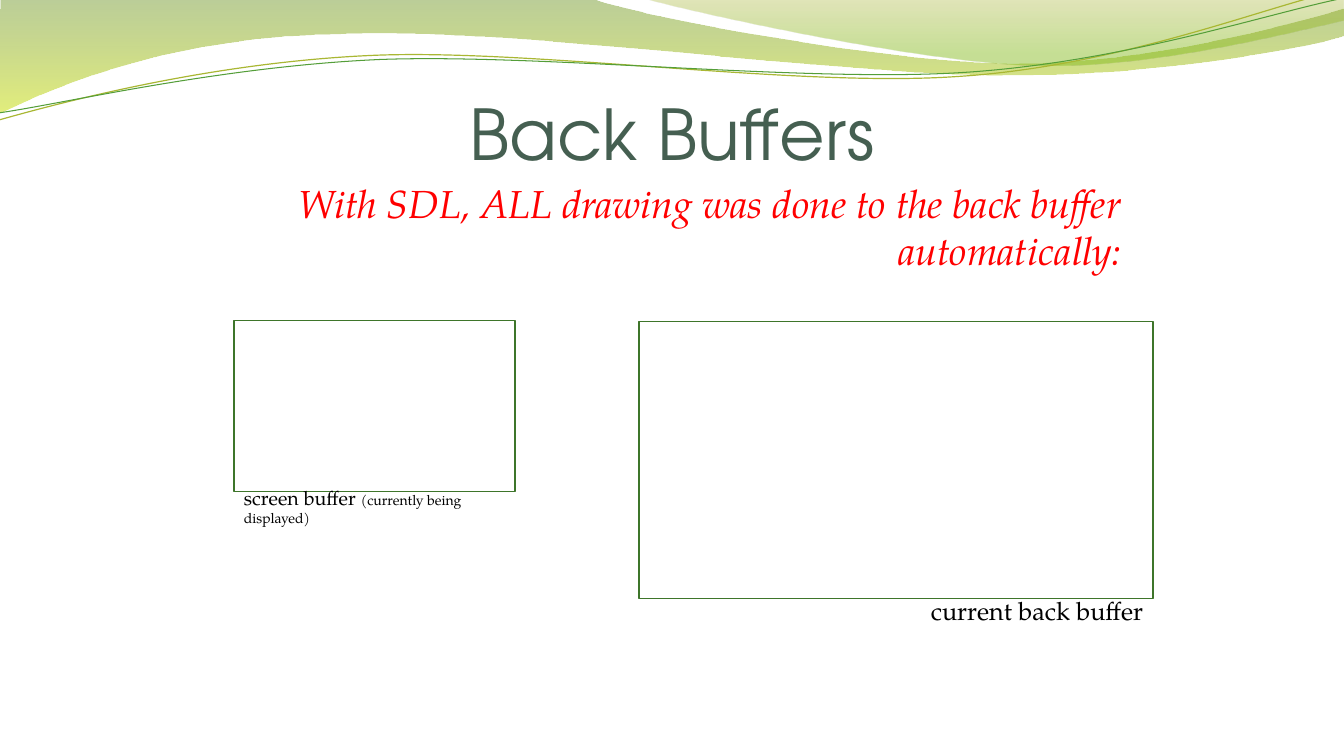
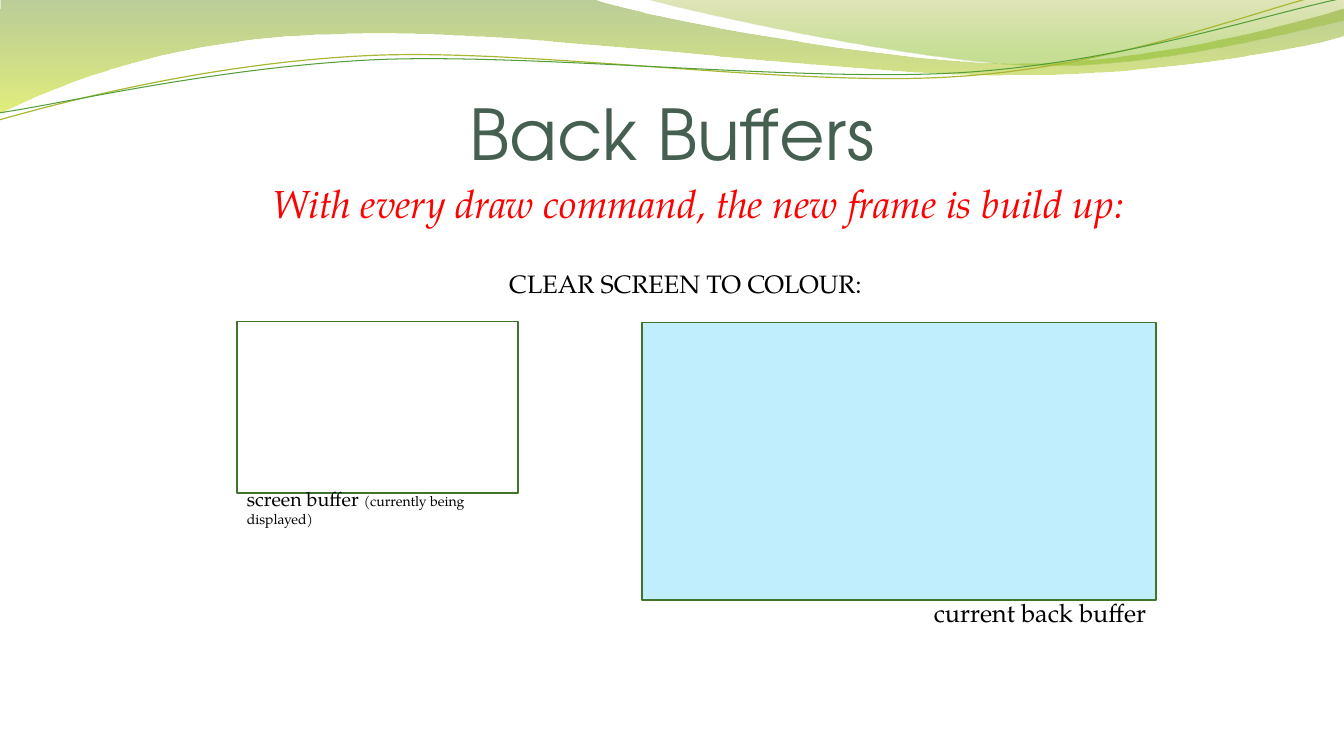
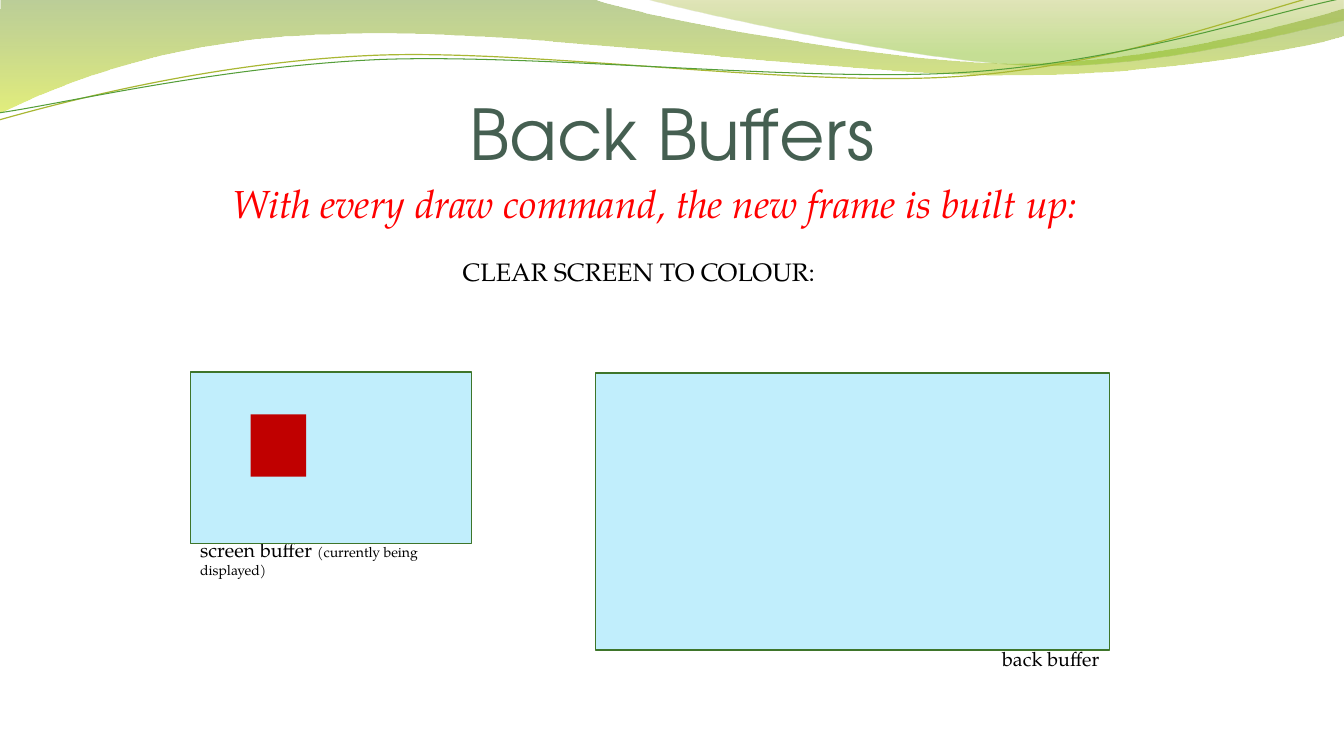
from dataclasses import dataclass, field

from lxml import etree
from pptx import Presentation
from pptx.dml.color import RGBColor
from pptx.enum import shapes as es, text as et
from pptx.oxml import ns
from pptx.util import Pt


@dataclass(frozen=True)
class Theme:
    title: str = "455F51"
    lead: str = "FF0000"
    ink: str = "000000"
    edge: str = "3E752A"
    blank: str = "FFFFFF"
    sky: str = "C1EEFC"
    block: str = "C00000"
    head_font: str = "TeX Gyre Adventor"
    body_font: str = "TeX Gyre Pagella"
    head_size: float = 50
    lead_size: float = 28
    note_size: float = 18
    label_size: float = 14
    small_size: float = 10


@dataclass(frozen=True)
class Box:
    x: float
    y: float
    w: float
    h: float

    def lengths(self) -> list:
        return [Pt(v) for v in (self.x, self.y, self.w, self.h)]


@dataclass(frozen=True)
class Run:
    text: str
    size: float
    color: str = Theme.ink
    font: str = Theme.body_font
    slant: bool = False


@dataclass(frozen=True)
class Stop:
    place: float
    color: str
    alpha: int


@dataclass(frozen=True)
class Wave:
    start: tuple
    legs: list
    stops: list = field(default_factory=list)
    color: str = ""
    width: float = 0


@dataclass(frozen=True)
class Scene:
    left: float
    top: float
    lead: str
    back: Run
    screen_fill: str = Theme.blank
    back_fill: str = Theme.sky
    lead_height: float = 41
    clear_top: float = 0
    labels_first: bool = False
    block: bool = False


T = Theme()
WIDE, HIGH = 960, 540
TEXT_WIDTH = 640.8
LEAD_TOP = 124.6
SCREEN_WIDTH, SCREEN_HEIGHT = 200.9, 122.4
BACK_WIDTH, BACK_HEIGHT = 367.2, 198
BACK_SHIFT = 289.4
UNIT = 100

WAVES = [
    Wave((0, 0), [
        [(422.6, -0.7)],
        [(456.5, 12.2), (636.5, 45.4), (727.9, 45.4)],
        [(818.6, 45.4), (919.4, 18.7), (959.8, 6.5)],
        [(960.5, 25.9)],
        [(943.9, 31.7), (834.5, 54.7), (715.7, 54)],
        [(596.9, 54), (366.5, 20.2), (247, 24.5)],
        [(123.8, 25.9), (43.9, 59.8), (-1.4, 81.4)],
        [(0, 0)],
    ], stops=[Stop(0, "69921C", 45), Stop(1, "CCE10F", 55)]),
    Wave((459.4, -0.7), [
        [(488.9, 7.9), (654.5, 44.6), (738, 46.8)],
        [(820.8, 49.7), (923, 23), (959.8, 15.1)],
        [(959.8, 0)],
        [(459.4, -0.7)],
    ], stops=[Stop(0, "9BAA1A", 30), Stop(0.8, "81BA16", 45)]),
    Wave((-0.7, 85.7), [
        [(45.4, 72.7), (151.2, 44.6), (265.7, 39.6)],
        [(379.4, 34.6), (568.1, 62.6), (683.3, 54.7)],
        [(799.2, 47.5), (900.7, 5.8), (957.6, -7.2)],
    ], color="A9B733", width=0.85),
    Wave((-0.7, 80.6), [
        [(44.6, 74.2), (157, 47.5), (271.4, 42.5)],
        [(386.6, 38.2), (573.1, 59), (687.6, 51.8)],
        [(802.1, 44.6), (903.6, 10.1), (959.8, -1.4)],
    ], color="549E39", width=0.75),
]

SCENES = [
    Scene(167.1, 228.9, "With SDL, ALL drawing was done to the back buffer automatically:",
          Run("current back buffer", T.note_size), back_fill=T.blank, lead_height=74.9),
    Scene(169.2, 229.8, "With every draw command, the new frame is build up:",
          Run("current back buffer", T.note_size), clear_top=187.9),
    Scene(135.9, 265.7, "With every draw command, the new frame is built up:",
          Run("back buffer", T.label_size), screen_fill=T.sky, clear_top=179.3,
          labels_first=True, block=True),
]


def rgb(color: str) -> RGBColor:
    return RGBColor.from_string(color)


def bend(shape, wave: Wave) -> None:
    ends = [wave.start, *(leg[-1] for leg in wave.legs)]
    low = [min(end[axis] for end in ends) for axis in (0, 1)]
    lines = shape.element.xpath(".//a:path/a:lnTo")
    for line, leg in zip(lines, wave.legs):
        if len(leg) == 1:
            continue
        curve = etree.Element(ns.qn("a:cubicBezTo"))
        for x, y in leg:
            etree.SubElement(curve, ns.qn("a:pt"),
                             x=str(round((x - low[0]) * UNIT)),
                             y=str(round((y - low[1]) * UNIT)))
        line.getparent().replace(line, curve)


def draw_wave(slide, wave: Wave):
    ends = [wave.start, *(leg[-1] for leg in wave.legs)]
    first, *rest = [(x * UNIT, y * UNIT) for x, y in ends]
    pen = slide.shapes.build_freeform(*first, scale=Pt(1) / UNIT)
    pen.add_line_segments(rest, close=bool(wave.stops))
    shape = pen.convert_to_shape()
    bend(shape, wave)
    shape.shadow.inherit = False
    if not wave.stops:
        shape.fill.background()
        shape.line.color.rgb = rgb(wave.color)
        shape.line.width = Pt(wave.width)
        return shape
    shape.line.fill.background()
    shape.fill.gradient()
    shape.fill.gradient_angle = 270
    for mark, stop in zip(shape.fill.gradient_stops, wave.stops):
        mark.position = stop.place
        mark.color.rgb = rgb(stop.color)
    tints = shape.element.xpath(".//a:gradFill//a:srgbClr")
    for tint, stop in zip(tints, wave.stops):
        etree.SubElement(tint, ns.qn("a:alpha"), val=str(stop.alpha * 1000))
    return shape


def set_layout(layout, slide) -> None:
    for order, wave in enumerate(WAVES):
        layout.shapes.element.insert(2 + order, draw_wave(slide, wave).element)
    title = layout.placeholders[0]
    title.left, title.top, title.width, title.height = Box(48, 55.4, 864, 69.1).lengths()
    frame = title.text_frame
    frame.margin_left = frame.margin_right = frame.margin_bottom = 0
    frame.margin_top = Pt(3.6)
    frame.vertical_anchor = et.MSO_ANCHOR.BOTTOM
    frame.auto_size = et.MSO_AUTO_SIZE.NONE


def add_runs(line, runs: list, align) -> None:
    line.alignment = align
    for run in runs:
        piece = line.add_run()
        piece.text = run.text
        font = piece.font
        font.name, font.size, font.italic = run.font, Pt(run.size), run.slant
        font.color.rgb = rgb(run.color)


def add_text(slide, box: Box, runs: list, align) -> None:
    frame = slide.shapes.add_textbox(*box.lengths()).text_frame
    frame.word_wrap = True
    frame.auto_size = et.MSO_AUTO_SIZE.SHAPE_TO_FIT_TEXT
    add_runs(frame.paragraphs[0], runs, align)


def add_rect(slide, box: Box, fill: str, edge: str = ""):
    shape = slide.shapes.add_shape(es.MSO_SHAPE.RECTANGLE, *box.lengths())
    shape.shadow.inherit = False
    shape.fill.solid()
    shape.fill.fore_color.rgb = rgb(fill)
    if edge:
        shape.line.color.rgb = rgb(edge)
        shape.line.width = Pt(1)
    else:
        shape.line.fill.background()
    return shape


def add_frames(slide, scene: Scene) -> None:
    left, top = scene.left, scene.top
    add_rect(slide, Box(left + BACK_SHIFT, top + 0.7, BACK_WIDTH, BACK_HEIGHT),
             scene.back_fill, T.edge)
    screen = add_rect(slide, Box(left, top, SCREEN_WIDTH, SCREEN_HEIGHT),
                      scene.screen_fill, T.edge)
    if scene.block:
        block = add_rect(slide, Box(left + 43.2, top + 30.2, 39.6, 44.6), T.block)
        slide.shapes.add_group_shape([screen, block])


def add_labels(slide, scene: Scene) -> None:
    left, top = scene.left, scene.top
    right = left + BACK_SHIFT + BACK_WIDTH - SCREEN_WIDTH
    add_text(slide, Box(right, top + 193, SCREEN_WIDTH, 28.8), [scene.back],
             et.PP_ALIGN.RIGHT)
    add_text(slide, Box(left, top + 114.8, SCREEN_WIDTH, 24.5),
             [Run("screen buffer ", T.label_size),
              Run("(currently being displayed)", T.small_size)], et.PP_ALIGN.LEFT)


def fill_slide(slide, scene: Scene) -> None:
    add_runs(slide.shapes.title.text_frame.paragraphs[0],
             [Run("Back Buffers", T.head_size, T.title, T.head_font)],
             et.PP_ALIGN.CENTER)
    add_text(slide, Box(scene.left, LEAD_TOP, TEXT_WIDTH, scene.lead_height),
             [Run(scene.lead, T.lead_size, T.lead, slant=True)], et.PP_ALIGN.RIGHT)
    if scene.clear_top:
        add_text(slide, Box(scene.left, scene.clear_top, TEXT_WIDTH, 28.8),
                 [Run("CLEAR SCREEN TO COLOUR:", T.note_size)], et.PP_ALIGN.CENTER)
    layers = [add_frames, add_labels]
    for draw in reversed(layers) if scene.labels_first else layers:
        draw(slide, scene)


def main() -> None:
    deck = Presentation()
    deck.slide_width, deck.slide_height = Pt(WIDE), Pt(HIGH)
    layout = deck.slide_layouts[5]
    slides = [deck.slides.add_slide(layout) for _ in SCENES]
    set_layout(layout, slides[0])
    for slide, scene in zip(slides, SCENES):
        fill_slide(slide, scene)
    deck.save("out.pptx")


if __name__ == "__main__":
    main()
